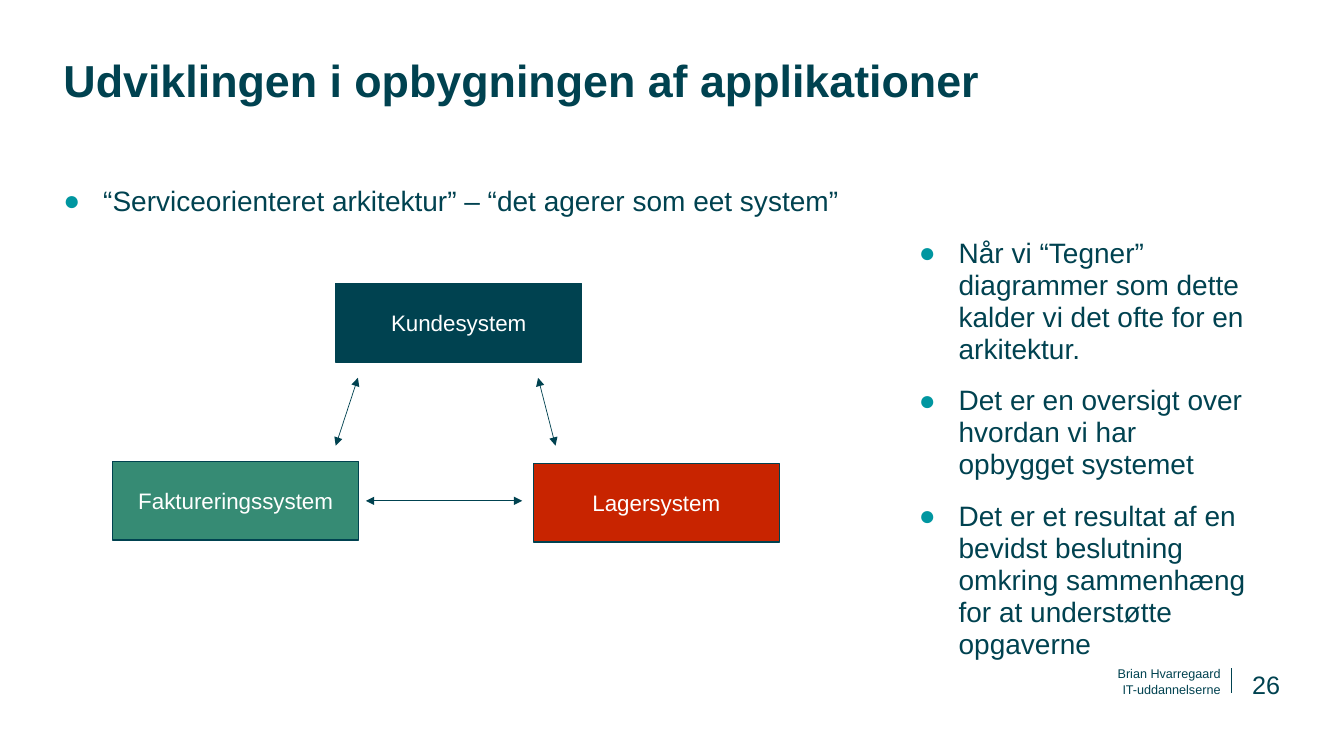
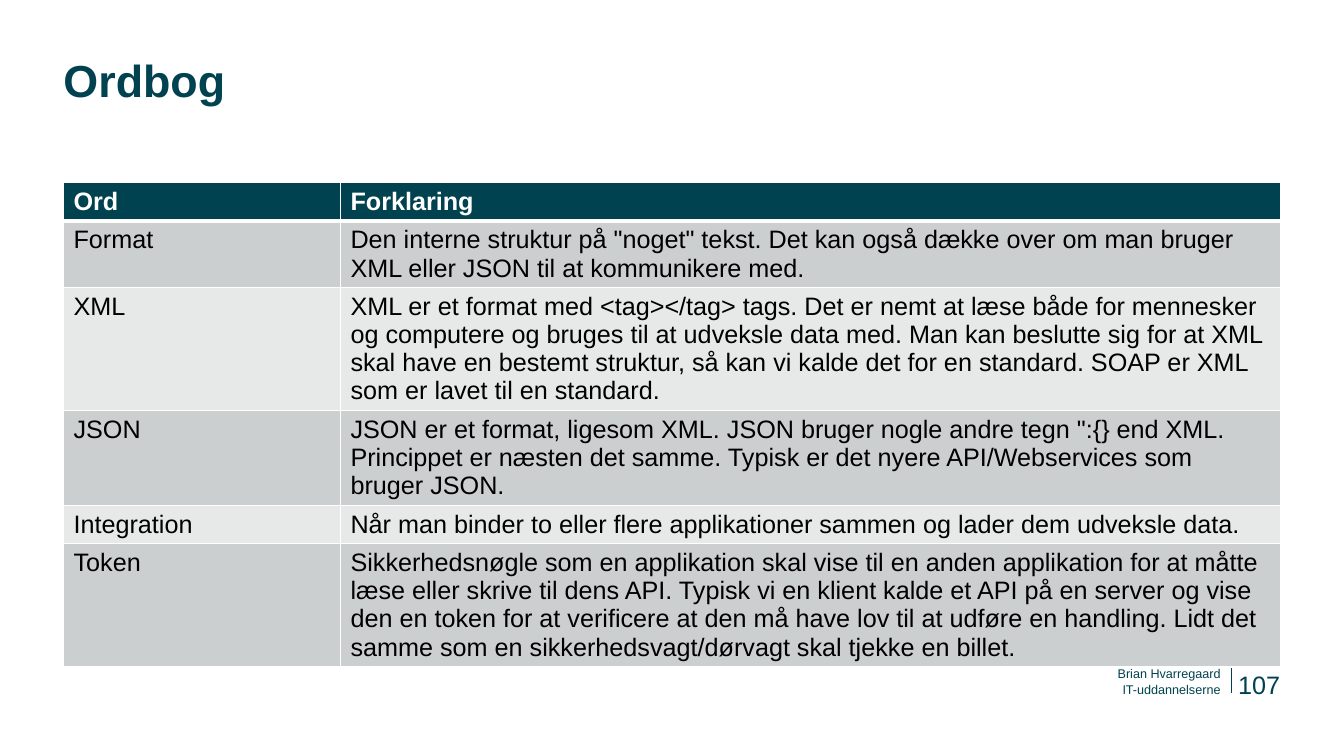
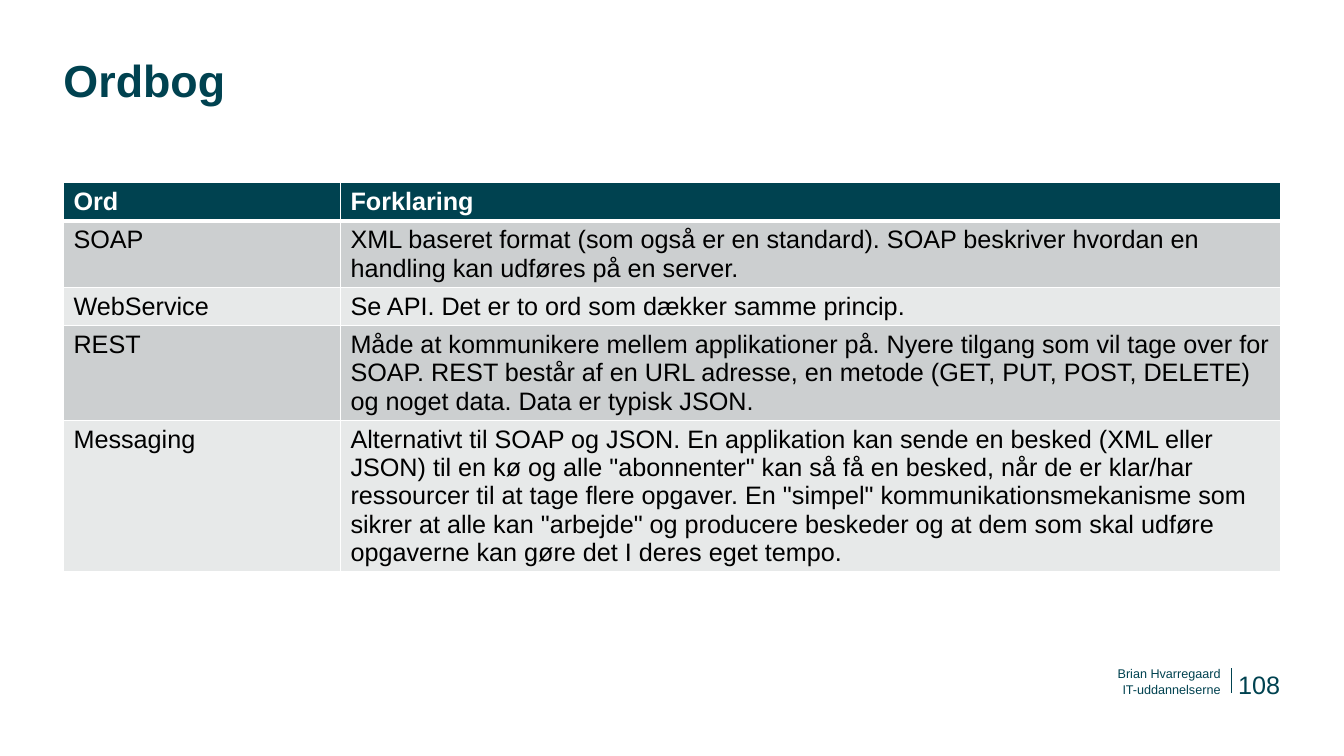
"""Build three slides on application architecture and its vocabulary."""
from lxml import etree
from pptx import Presentation
from pptx.dml.color import RGBColor
from pptx.enum import shapes, text
from pptx.oxml.ns import qn
from pptx.util import Cm, Pt

HUES = {"dark": "004250", "teal": "0096A0", "green": "368B74", "red": "C82400",
        "white": "FFFFFF", "black": "000000", "odd": "CCCFD0", "even": "E7E9E9"}
RGB = {name: RGBColor.from_string(code) for name, code in HUES.items()}
LEFT, TOP, WIDE = Cm(1.6), Cm(4.6), Cm(30.68)
ALIGN, ANCHOR = text.PP_ALIGN, text.MSO_ANCHOR


def write(box, lines, size, hue="dark", align=ALIGN.LEFT, anchor=ANCHOR.TOP, bold=False):
    """Fill a box with unpadded Arial paragraphs."""
    frame = box.text_frame
    frame.text = "\n".join(lines)
    frame.word_wrap = True
    frame.auto_size = text.MSO_AUTO_SIZE.NONE
    frame.vertical_anchor = anchor
    frame.margin_left = frame.margin_right = frame.margin_top = frame.margin_bottom = 0
    for para in frame.paragraphs:
        para.alignment = align
        para.space_before = Pt(0)
        for run in para.runs:
            run.font.name = "Arial"
            run.font.size = Pt(size)
            run.font.bold = bold
            run.font.color.rgb = RGB[hue]


def draw(slide, x1, y1, x2, y2, heads=()):
    """Draw a thin dark line, with arrowheads at the named ends."""
    line = slide.shapes.add_connector(
        shapes.MSO_CONNECTOR.STRAIGHT, Cm(x1), Cm(y1), Cm(x2), Cm(y2))
    line.line.color.rgb = RGB["dark"]
    line.line.width = Pt(0.5)
    for head in heads:
        etree.SubElement(line.line._get_or_add_ln(), qn(f"a:{head}"), type="triangle")
    etree.SubElement(line._element.spPr, qn("a:effectLst"))


deck = Presentation()
deck.slide_width, deck.slide_height = Cm(33.87), Cm(19.05)

pages = [("Udviklingen i opbygningen af applikationer", "26", 1),
         ("Ordbog", "107", 5),
         ("Ordbog", "108", 5)]
for title, num, kind in pages:
    slide = deck.slides.add_slide(deck.slide_layouts[kind])
    head = slide.shapes.title
    head.left, head.top, head.width, head.height = LEFT, Cm(1.5), WIDE, Cm(2.54)
    write(head, [title], 32, bold=True)
    head.text_frame.paragraphs[0].line_spacing = 0.88
    draw(slide, 31.04, 16.84, 31.04, 17.45)
    feet = [("Brian Hvarregaard", 9, 20.09, 16.74, 10.67, 0.41),
            ("IT-uddannelserne", 9, 20.09, 17.15, 10.67, 0.41),
            (num, 18, 31.06, 16.18, 1.2, 1.45)]
    for label, size, *place in feet:
        foot = slide.shapes.add_textbox(*map(Cm, place))
        write(foot, [label], size, align=ALIGN.RIGHT, anchor=ANCHOR.BOTTOM)

slide = deck.slides[0]
body = slide.placeholders[1]
body.left, body.top, body.width, body.height = LEFT, TOP, WIDE, Cm(11.25)
side = slide.shapes.add_textbox(Cm(23.16), Cm(5.99), Cm(8.56), Cm(10.74))
lists = [
    (body, 1.04, ["“Serviceorienteret arkitektur” – “det agerer som eet system”"]),
    (side, 0.95, [
        "Når vi “Tegner” diagrammer som dette kalder vi det ofte for en arkitektur.",
        "Det er en oversigt over hvordan vi har opbygget systemet",
        "Det er et resultat af en bevidst beslutning omkring sammenhæng for at "
        "understøtte opgaverne"])]
for box, gap, lines in lists:
    write(box, lines, 20)
    for para in box.text_frame.paragraphs:
        props = para._p.get_or_add_pPr()
        props.set("marL", str(Cm(1)))
        props.set("indent", str(-Cm(1)))
        tint = etree.SubElement(props, qn("a:buClr"))
        etree.SubElement(tint, qn("a:srgbClr"), val=HUES["teal"])
        etree.SubElement(props, qn("a:buFont"), typeface="Arial")
        etree.SubElement(props, qn("a:buChar"), char="●")
        para.line_spacing = gap
        para.space_after = Pt(14.2)

systems = [("Kundesystem", "dark", 8.46, 7.14),
           ("Faktureringssystem", "green", 2.84, 11.63),
           ("Lagersystem", "red", 13.44, 11.68)]
for label, hue, x, y in systems:
    box = slide.shapes.add_shape(
        shapes.MSO_SHAPE.RECTANGLE, Cm(x), Cm(y), Cm(6.2), Cm(1.98))
    box.shadow.inherit = False
    box.fill.solid()
    box.fill.fore_color.rgb = RGB[hue]
    box.line.color.rgb = RGB["dark"]
    box.line.width = Pt(1)
    write(box, [label], 16, "white", ALIGN.CENTER, ANCHOR.MIDDLE)

for ends in [(13.56, 9.52, 14, 11.23), (9.02, 9.52, 8.46, 11.23),
             (9.22, 12.62, 13.16, 12.62)]:
    draw(slide, *ends, heads=("headEnd", "tailEnd"))

terms = [
    [("Format", 2, "Den interne struktur på \"noget\" tekst. Det kan også dække over om "
      "man bruger XML eller JSON til at kommunikere med."),
     ("XML", 4, "XML er et format med <tag></tag> tags. Det er nemt at læse både for "
      "mennesker og computere og bruges til at udveksle data med. Man kan beslutte sig "
      "for at XML skal have en bestemt struktur, så kan vi kalde det for en standard. "
      "SOAP er XML som er lavet til en standard."),
     ("JSON", 3, "JSON er et format, ligesom XML. JSON bruger nogle andre tegn \":{} end "
      "XML. Princippet er næsten det samme. Typisk er det nyere API/Webservices som "
      "bruger JSON."),
     ("Integration", 1, "Når man binder to eller flere applikationer sammen og lader dem "
      "udveksle data."),
     ("Token", 4, "Sikkerhedsnøgle som en applikation skal vise til en anden applikation "
      "for at måtte læse eller skrive til dens API. Typisk vi en klient kalde et API på "
      "en server og vise den en token for at verificere at den må have lov til at udføre "
      "en handling. Lidt det samme som en sikkerhedsvagt/dørvagt skal tjekke en billet.")],
    [("SOAP", 2, "XML baseret format (som også er en standard). SOAP beskriver hvordan en "
      "handling kan udføres på en server."),
     ("WebService", 1, "Se API. Det er to ord som dækker samme princip."),
     ("REST", 3, "Måde at kommunikere mellem applikationer på. Nyere tilgang som vil tage "
      "over for SOAP. REST består af en URL adresse, en metode (GET, PUT, POST, DELETE) "
      "og noget data. Data er typisk JSON."),
     ("Messaging", 5, "Alternativt til SOAP og JSON. En applikation kan sende en besked "
      "(XML eller JSON) til en kø og alle \"abonnenter\" kan så få en besked, når de er "
      "klar/har ressourcer til at tage flere opgaver. En \"simpel\" "
      "kommunikationsmekanisme som sikrer at alle kan \"arbejde\" og producere beskeder "
      "og at dem som skal udføre opgaverne kan gøre det I deres eget tempo.")]]
for page, words in enumerate(terms, 1):
    rows = [("Ord", 1, "Forklaring")] + words
    table = deck.slides[page].shapes.add_table(
        len(rows), 2, LEFT, TOP, WIDE, Cm(len(rows))).table
    table.horz_banding = False
    table.columns[0].width, table.columns[1].width = Cm(6.98), Cm(23.7)
    for r, (word, count, info) in enumerate(rows):
        table.rows[r].height = Cm(0.25 + 0.71 * count)
        fill = "dark" if r == 0 else "odd" if r % 2 else "even"
        for cell, label in zip(table.rows[r].cells, (word, info)):
            for edge in "LRTB":
                thick = 3 if (r, edge) in [(0, "B"), (1, "T")] else 1
                rule = etree.SubElement(
                    cell._tc.get_or_add_tcPr(), qn(f"a:ln{edge}"), w=str(Pt(thick)))
                paint = etree.SubElement(rule, qn("a:solidFill"))
                etree.SubElement(paint, qn("a:srgbClr"), val=HUES["white"])
            cell.fill.solid()
            cell.fill.fore_color.rgb = RGB[fill]
            cell.text_frame.text = label
            font = cell.text_frame.paragraphs[0].runs[0].font
            font.name, font.size, font.bold = "Arial", Pt(18), r == 0
            font.color.rgb = RGB["black" if r else "white"]

deck.save("out.pptx")
